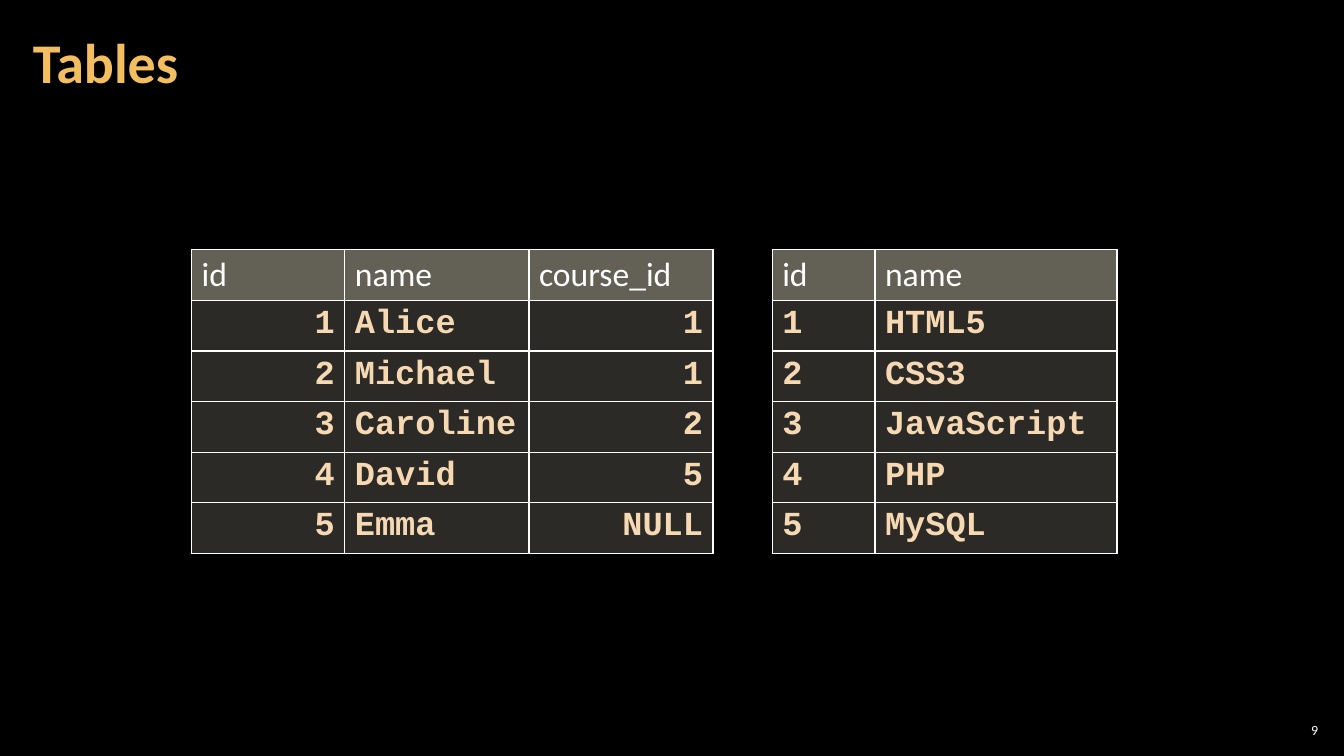
from dataclasses import dataclass

from lxml import etree
from pptx import Presentation
from pptx.dml.color import RGBColor as RGB
from pptx.enum.text import MSO_ANCHOR as ANCHOR, PP_ALIGN as ALIGN
from pptx.oxml.ns import qn
from pptx.util import Cm, Pt


@dataclass(frozen=True)
class Theme:
    back: str = "000000"
    title: str = "F3BE60"
    white: str = "FFFFFF"
    data: str = "F6D9B2"
    head_fill: tuple = ("C6C0AA", 50)
    data_fill: tuple = ("D9D5C7", 20)
    sans: str = "Calibri"
    mono: str = "Courier New"
    title_size: int = 40
    table_size: int = 24
    number_size: int = 10
    border: float = 1


T = Theme()


def write(tf, text, size, color, font=T.sans, bold=False, align=ALIGN.LEFT,
          spacing=1.0):
    p = tf.paragraphs[0]
    p.alignment, p.line_spacing, p.space_before = align, spacing, Pt(0)
    r = p.add_run()
    r.text = text
    r.font.size, r.font.name, r.font.bold = Pt(size), font, bold
    r.font.color.rgb = RGB.from_string(color)


def paint(cell, color, opacity):
    cell.fill.solid()
    cell.fill.fore_color.rgb = RGB.from_string(color)
    tc_pr = cell._tc.get_or_add_tcPr()
    clr = tc_pr.find(qn("a:solidFill")).find(qn("a:srgbClr"))
    etree.SubElement(clr, qn("a:alpha"), val=str(opacity * 1000))
    for i, side in enumerate("LRTB"):
        ln = etree.Element(qn(f"a:ln{side}"), w=str(Pt(T.border)))
        fill = etree.SubElement(ln, qn("a:solidFill"))
        etree.SubElement(fill, qn("a:srgbClr"), val=T.white)
        tc_pr.insert(i, ln)


# Slide
prs = Presentation()
prs.slide_width, prs.slide_height = Cm(33.87), Cm(19.05)
s = prs.slides.add_slide(prs.slide_layouts[5])
s.background.fill.solid()
s.background.fill.fore_color.rgb = RGB.from_string(T.back)

# Title
sp = s.shapes.title
sp.left, sp.top, sp.width, sp.height = Cm(0.53), Cm(0.1), Cm(26.6), Cm(3.07)
tf = sp.text_frame
tf.vertical_anchor = ANCHOR.MIDDLE
tf.margin_left = tf.margin_right = Cm(0.3)
tf.margin_top = tf.margin_bottom = Cm(0.1)
write(tf, "Tables", T.title_size, T.title, bold=True, spacing=0.9)

# Tables: left edge, column widths, right-aligned columns, rows
students = [
    ("id", "name", "course_id"),
    ("1", "Alice", "1"),
    ("2", "Michael", "1"),
    ("3", "Caroline", "2"),
    ("4", "David", "5"),
    ("5", "Emma", "NULL"),
]
courses = [
    ("id", "name"),
    ("1", "HTML5"),
    ("2", "CSS3"),
    ("3", "JavaScript"),
    ("4", "PHP"),
    ("5", "MySQL"),
]
for left, widths, right_cols, rows in (
    (4.83, (3.86, 4.64, 4.64), (0, 2), students),
    (19.46, (2.59, 6.1), (), courses),
):
    tbl = s.shapes.add_table(len(rows), len(widths), Cm(left), Cm(6.28),
                             Cm(sum(widths)), Cm(7.65)).table
    for col, width in zip(tbl.columns, widths):
        col.width = Cm(width)
    for i, row in enumerate(rows):
        for j, text in enumerate(row):
            cell = tbl.cell(i, j)
            if i == 0:
                paint(cell, *T.head_fill)
                write(cell.text_frame, text, T.table_size, T.white)
            else:
                paint(cell, *T.data_fill)
                write(cell.text_frame, text, T.table_size, T.data, font=T.mono,
                      bold=True, spacing=0.95,
                      align=ALIGN.RIGHT if j in right_cols else ALIGN.LEFT)

# Slide number
tf = s.shapes.add_textbox(Cm(32.13), Cm(18.14), Cm(1.19), Cm(0.53)).text_frame
tf.word_wrap = True
tf.vertical_anchor = ANCHOR.MIDDLE
tf.margin_left = tf.margin_right = tf.margin_top = tf.margin_bottom = Cm(0.1)
write(tf, "9", T.number_size, T.white, align=ALIGN.RIGHT)

prs.save("out.pptx")
